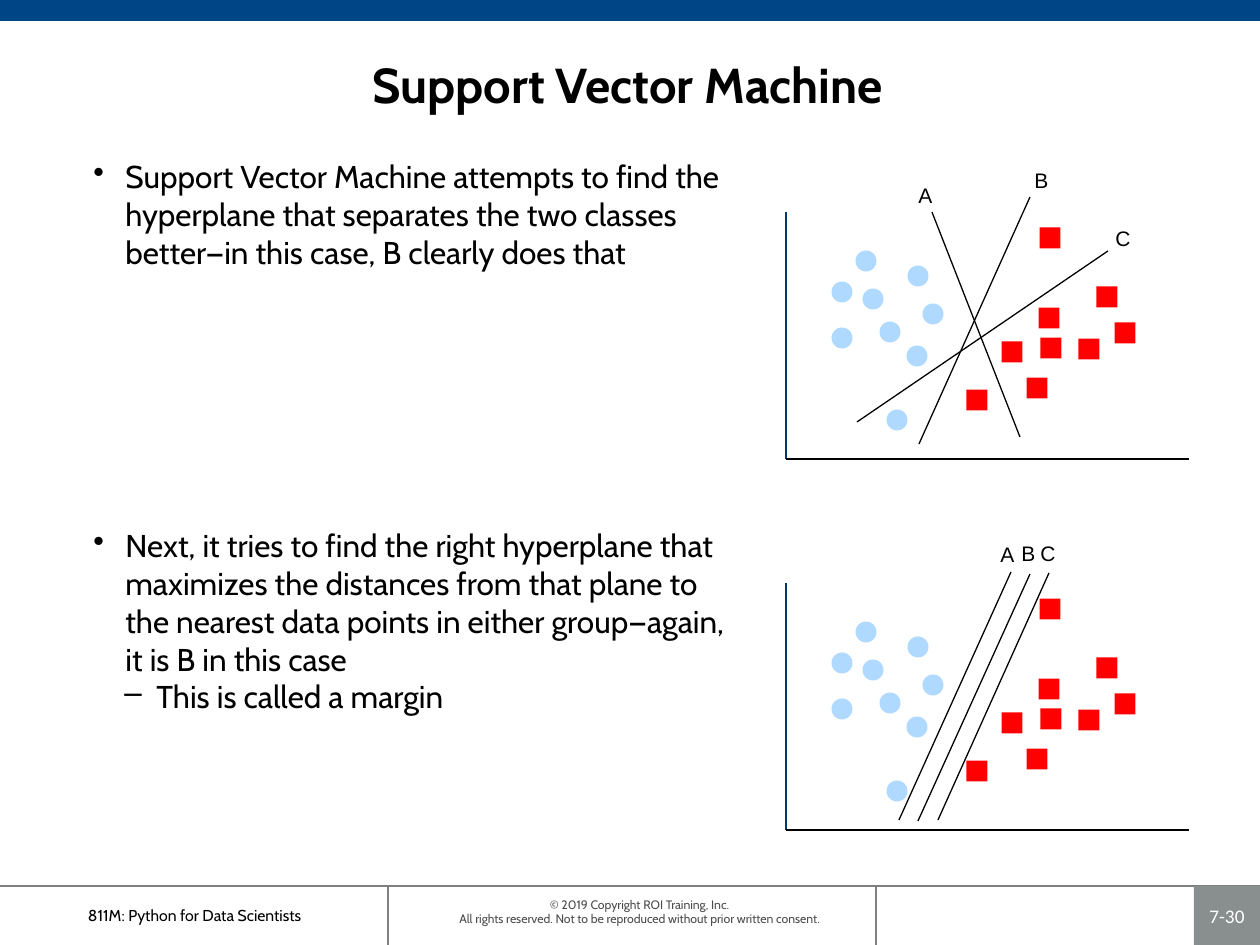
import pptx
import pptx.util
import pptx.dml.color
import pptx.enum.shapes
import pptx.enum.text
import pptx.oxml.ns
import lxml.etree

SCALE = 914400 / 126  # EMU per px
SHAPE = pptx.enum.shapes.MSO_SHAPE
ALIGN = pptx.enum.text.PP_ALIGN
ANCHOR = pptx.enum.text.MSO_ANCHOR

# Content
TITLE = "Support Vector Machine"
COURSE = "811M: Python for Data Scientists"
COPYRIGHT = ("© 2019 Copyright ROI Training, Inc.\v"
             "All rights reserved. Not to be reproduced without prior written consent.")
PAGE_NUMBER = "7-30"
# bullet, left margin in px, space before in points, text
BULLETS = [
    ("•", 32, 0, "Support Vector Machine attempts to find the hyperplane that "
                 "separates the two classes better—in this case, B clearly does that"),
    ("•", 32, 146, "Next, it tries to find the right hyperplane that maximizes the "
                   "distances from that plane to the nearest data points in either "
                   "group—again, it is B in this case"),
    ("–", 63, 0, "This is called a margin"),
]

# Both plots show the same data; positions are those of the upper plot
DOT = 21
CIRCLES = [(866, 261), (918, 276), (842, 292), (873, 299), (933, 314),
           (890, 332), (842, 338), (917, 356), (897, 420)]
SQUARES = [(1050, 238), (1107, 297), (1049, 318), (1125, 333), (1012, 352),
           (1051, 348), (1089, 349), (1037, 388), (977, 400)]
CLASSES = [(SHAPE.OVAL, "AFD9FF", CIRCLES), (SHAPE.RECTANGLE, "FF0000", SQUARES)]
AXES = [("00396E", (786, 212, 786, 459)), ("000000", (786, 459, 1189, 459))]
# offset down, then per hyperplane: name, label corner, line ends
PLOTS = [
    (0, [("A", (906, 176), (932, 212, 1020, 437)),
         ("B", (1022, 161), (919, 444, 1030, 197)),
         ("C", (1103, 219), (857, 422, 1108, 251))]),
    (371, [("A", (988, 164), (899, 449, 1011, 201)),
           ("B", (1009, 163), (918, 450, 1030, 203)),
           ("C", (1028, 163), (938, 449, 1049, 202))]),
]
FOOTER_TOP, FOOTER_HEIGHT = 886, 59
FOOTER_LINES = [(0, 886, 1260, 886), (388, 886, 388, 945), (876, 886, 876, 945)]


def px(value):
    return pptx.util.Emu(round(value * SCALE))


def color(value):
    return pptx.dml.color.RGBColor.from_string(value)


def add_block(shapes, kind, frame, fill):
    block = shapes.add_shape(kind, *map(px, frame))
    block.shadow.inherit = False
    block.fill.solid()
    block.fill.fore_color.rgb = color(fill)
    block.line.fill.background()
    return block


def add_line(shapes, ends, line_color, width):
    line = shapes.add_connector(pptx.enum.shapes.MSO_CONNECTOR.STRAIGHT, *map(px, ends))
    line.line.color.rgb = color(line_color)
    line.line.width = pptx.util.Pt(width)
    properties = line._element.spPr
    lxml.etree.SubElement(properties, pptx.oxml.ns.qn("a:effectLst"))


def style(para, size, font="Cabin", text_color="000000", bold=False):
    for span in para.runs:
        span.font.size = pptx.util.Pt(size)
        span.font.name = font
        span.font.bold = bold
        span.font.color.rgb = color(text_color)


def write(box, text, size, align=ALIGN.CENTER, anchor=ANCHOR.MIDDLE, wrap=True, **look):
    frame = box.text_frame
    frame.word_wrap = wrap
    frame.vertical_anchor = anchor
    frame.text = text
    para = frame.paragraphs[0]
    para.alignment = align
    style(para, size, **look)
    return frame


def add_text(shapes, frame, text, size, **options):
    return write(shapes.add_textbox(*map(px, frame)), text, size, **options)


def add_bullets(shapes, frame):
    text_frame = shapes.add_textbox(*map(px, frame)).text_frame
    text_frame.word_wrap = True
    for index, (mark, margin, before, text) in enumerate(BULLETS):
        para = text_frame.paragraphs[0] if index == 0 else text_frame.add_paragraph()
        para.text = text
        properties = para._p.get_or_add_pPr()
        properties.set("marL", str(px(margin)))
        properties.set("indent", str(-px(32)))
        para.space_before = pptx.util.Pt(before)
        bullet = lxml.etree.SubElement(properties, pptx.oxml.ns.qn("a:buChar"))
        bullet.set("char", mark)
        style(para, 18)


def add_plot(slide, down, planes):
    shapes = slide.shapes.add_group_shape().shapes

    def lower(ends):
        left, top, right, bottom = ends
        return left, top + down, right, bottom + down

    for kind, fill, centers in CLASSES:
        for x, y in centers:
            add_block(shapes, kind, (x - DOT / 2, y - DOT / 2 + down, DOT, DOT), fill)
    for axis_color, ends in AXES:
        add_line(shapes, lower(ends), axis_color, 0.75)
    for name, (left, top), ends in planes:
        add_line(shapes, lower(ends), "000000", 0.75)
        add_text(shapes, (left, top + down, 43, 41), name, 12, align=ALIGN.LEFT,
                 anchor=ANCHOR.TOP, wrap=False, font="Arial")


def main():
    deck = pptx.Presentation()
    deck.slide_width, deck.slide_height = px(1260), px(945)
    slide = deck.slides.add_slide(deck.slide_layouts[6])
    shapes = slide.shapes

    # Top band and footer
    add_block(shapes, SHAPE.RECTANGLE, (0, 0, 1260, 21), "004686")
    for ends in FOOTER_LINES:
        add_line(shapes, ends, "808080", 1.5)
    notice = add_text(shapes, (309, 897, 661, 30), COPYRIGHT, 7,
                      anchor=ANCHOR.TOP, text_color="4D4D4D")
    notice.margin_top = notice.margin_bottom = 0
    add_text(shapes, (0, FOOTER_TOP, 389, FOOTER_HEIGHT), COURSE, 9)
    page = add_block(shapes, SHAPE.RECTANGLE, (1194, FOOTER_TOP, 66, FOOTER_HEIGHT), "898F8F")
    number = write(page, PAGE_NUMBER, 11, font="Calibri", text_color="FFFFFF")
    number.margin_left = number.margin_right = px(5)

    # Title and body
    add_text(shapes, (145, 40, 965, 87), TITLE, 28, bold=True)
    add_bullets(shapes, (81, 151, 677, 699))

    # Plots
    for down, planes in PLOTS:
        add_plot(slide, down, planes)

    deck.save("out.pptx")


if __name__ == "__main__":
    main()
